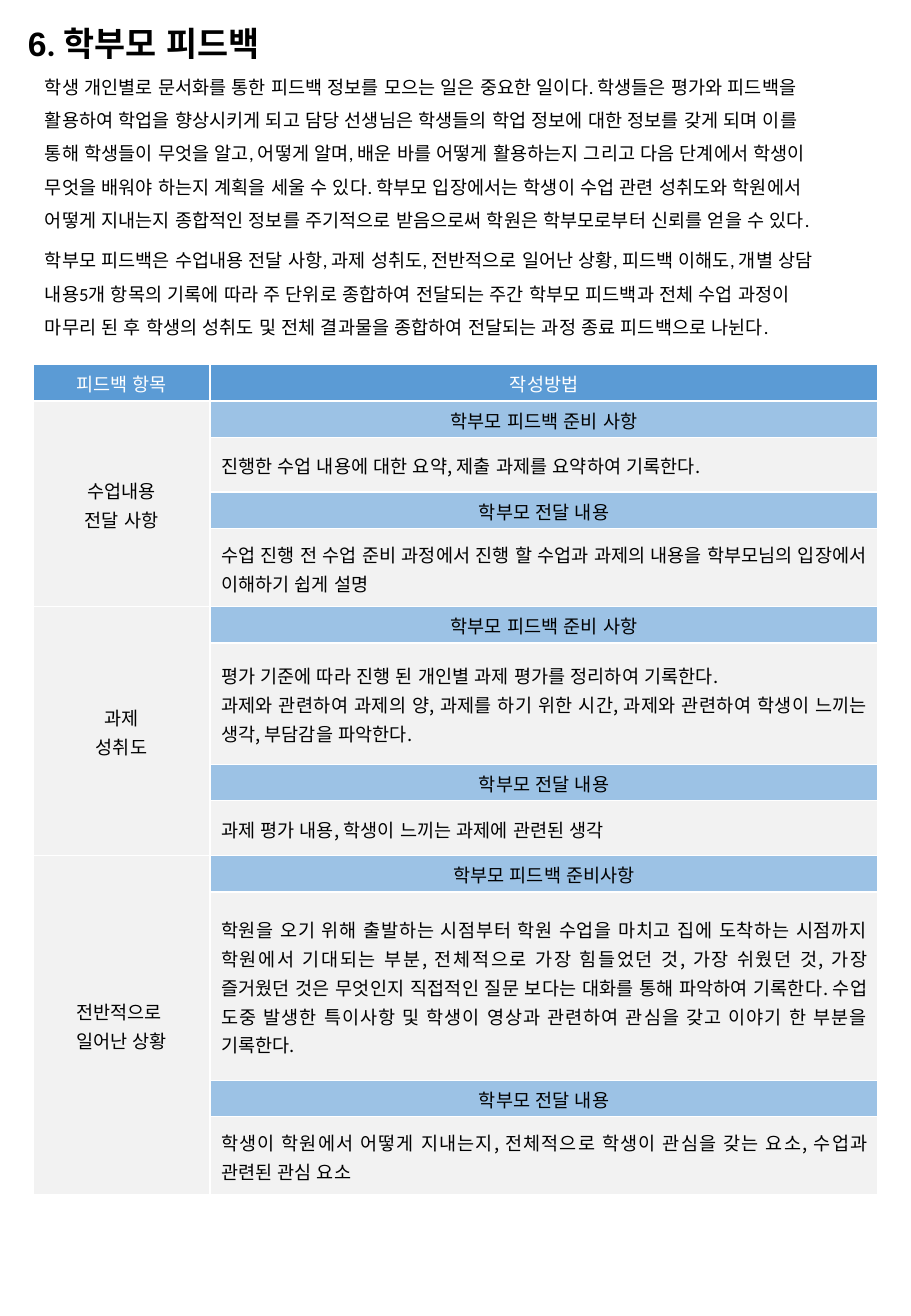
from dataclasses import dataclass

from lxml import etree
from pptx import Presentation
from pptx.dml.color import RGBColor
from pptx.enum.lang import MSO_LANGUAGE_ID
from pptx.enum.text import MSO_ANCHOR, MSO_AUTO_SIZE, PP_ALIGN
from pptx.oxml.ns import qn
from pptx.util import Inches, Pt

LEFT, CENTER, JUSTIFY = PP_ALIGN.LEFT, PP_ALIGN.CENTER, PP_ALIGN.JUSTIFY
TOP, MIDDLE = MSO_ANCHOR.TOP, MSO_ANCHOR.MIDDLE
NO_FIT = MSO_AUTO_SIZE.NONE
KOREAN = MSO_LANGUAGE_ID.KOREAN
TWO_CONTENT = 3


@dataclass(frozen=True)
class Theme:
    ink: str = "000000"
    white: str = "FFFFFF"
    header: str = "5B9BD5"
    band: str = "9CC2E5"
    cell: str = "F2F2F2"
    number_font: str = "Arial"
    body_font: str = "Calibri"
    korean_font: str = "Noto Sans CJK KR"
    title_size: int = 20
    body_size: int = 11
    body_spacing: float = 1.5
    table_spacing: float = 1.07
    border_width: int = 1


class Page:
    def __init__(self, slide, theme):
        self.slide = slide
        self.theme = theme

    def run(self, p, text, font, size, color, bold=False):
        r = p.add_run()
        r.text = text
        r.font.name = font
        r.font.size = Pt(size)
        r.font.bold = bold
        r.font.color.rgb = RGBColor.from_string(color)
        r.font.language_id = KOREAN
        ea = etree.SubElement(r.font._element, qn("a:ea"))
        ea.set("typeface", self.theme.korean_font)

    def lines(self, tf, lines, font, color, align, spacing):
        for i, line in enumerate(lines):
            p = tf.add_paragraph() if i else tf.paragraphs[0]
            p.alignment = align
            p.line_spacing = spacing
            p.space_before = p.space_after = Pt(0)
            self.run(p, line, font, self.theme.body_size, color)

    def place(self, sp, left, top, width, height, anchor):
        sp.left, sp.top = Inches(left), Inches(top)
        sp.width, sp.height = Inches(width), Inches(height)
        tf = sp.text_frame
        tf.word_wrap = True
        tf.auto_size = NO_FIT
        tf.vertical_anchor = anchor
        return tf

    def title(self, number, text, *box):
        t = self.theme
        p = self.place(self.slide.shapes.title, *box, MIDDLE).paragraphs[0]
        p.alignment = LEFT
        self.run(p, number, t.number_font, t.title_size, t.ink, True)
        self.run(p, text, t.body_font, t.title_size, t.ink, True)

    def body(self, idx, lines, *box):
        t = self.theme
        tf = self.place(self.slide.placeholders[idx], *box, TOP)
        self.lines(tf, lines, t.body_font, t.ink, JUSTIFY, t.body_spacing)
        for p in tf.paragraphs:
            pPr = p._p.get_or_add_pPr()
            pPr.set("marL", "0")
            pPr.set("indent", "0")
            etree.SubElement(pPr, qn("a:buNone"))

    def cell(self, cell, lines, fill, color, align):
        t = self.theme
        cell.vertical_anchor = MIDDLE
        cell.margin_left = cell.margin_right = Inches(0.09)
        cell.margin_top = cell.margin_bottom = Inches(0.03)
        tcPr = cell._tc.get_or_add_tcPr()
        for side in ("lnL", "lnR", "lnT", "lnB"):
            ln = etree.SubElement(tcPr, qn(f"a:{side}"), w=str(Pt(t.border_width)))
            solid = etree.SubElement(ln, qn("a:solidFill"))
            etree.SubElement(solid, qn("a:srgbClr"), val=t.white)
        cell.fill.solid()
        cell.fill.fore_color.rgb = RGBColor.from_string(fill)
        self.lines(cell.text_frame, lines, t.korean_font, color, align, t.table_spacing)

    def table(self, headers, groups, left, top, widths, heights):
        t = self.theme
        table = self.slide.shapes.add_table(
            len(heights), len(widths), Inches(left), Inches(top),
            Inches(sum(widths)), Inches(sum(heights))).table
        for column, width in zip(table.columns, widths):
            column.width = Inches(width)
        for row, height in zip(table.rows, heights):
            row.height = Inches(height)
        for col, text in enumerate(headers):
            self.cell(table.cell(0, col), [text], t.header, t.white, CENTER)
        row = 1
        for item, sections in groups:
            first = row
            for heading, content in sections:
                self.cell(table.cell(row, 1), [heading], t.band, t.ink, CENTER)
                self.cell(table.cell(row + 1, 1), content, t.cell, t.ink, JUSTIFY)
                row += 2
            table.cell(first, 0).merge(table.cell(row - 1, 0))
            self.cell(table.cell(first, 0), item, t.cell, t.ink, CENTER)


PURPOSE = [
    "학생 개인별로 문서화를 통한 피드백 정보를 모으는 일은 중요한 일이다. 학생들은 평가와 피드백을",
    "활용하여 학업을 향상시키게 되고 담당 선생님은 학생들의 학업 정보에 대한 정보를 갖게 되며 이를",
    "통해 학생들이 무엇을 알고, 어떻게 알며, 배운 바를 어떻게 활용하는지 그리고 다음 단계에서 학생이",
    "무엇을 배워야 하는지 계획을 세울 수 있다. 학부모 입장에서는 학생이 수업 관련 성취도와 학원에서",
    "어떻게 지내는지 종합적인 정보를 주기적으로 받음으로써 학원은 학부모로부터 신뢰를 얻을 수 있다.",
]
KINDS = [
    "학부모 피드백은 수업내용 전달 사항, 과제 성취도, 전반적으로 일어난 상황, 피드백 이해도, 개별 상담",
    "내용5개 항목의 기록에 따라 주 단위로 종합하여 전달되는 주간 학부모 피드백과 전체 수업 과정이",
    "마무리 된 후 학생의 성취도 및 전체 결과물을 종합하여 전달되는 과정 종료 피드백으로 나뉜다.",
]
PREPARE = "학부모 피드백 준비 사항"
DELIVER = "학부모 전달 내용"
GROUPS = [
    (["수업내용", "전달 사항"], [
        (PREPARE, ["진행한 수업 내용에 대한 요약, 제출 과제를 요약하여 기록한다."]),
        (DELIVER, ["수업 진행 전 수업 준비 과정에서 진행 할 수업과 과제의 내용을 "
                   "학부모님의 입장에서 이해하기 쉽게 설명"]),
    ]),
    (["과제", "성취도"], [
        (PREPARE, ["평가 기준에 따라 진행 된 개인별 과제 평가를 정리하여 기록한다.",
                   "과제와 관련하여 과제의 양, 과제를 하기 위한 시간, 과제와 관련하여 "
                   "학생이 느끼는 생각, 부담감을 파악한다."]),
        (DELIVER, ["과제 평가 내용, 학생이 느끼는 과제에 관련된 생각"]),
    ]),
    (["전반적으로 ", "일어난 상황"], [
        ("학부모 피드백 준비사항", [
            "학원을 오기 위해 출발하는 시점부터 학원 수업을 마치고 집에 도착하는 시점까지 "
            "학원에서 기대되는 부분, 전체적으로 가장 힘들었던 것, 가장 쉬웠던 것, 가장 "
            "즐거웠던 것은 무엇인지 직접적인 질문 보다는 대화를 통해 파악하여 기록한다. "
            "수업 도중 발생한 특이사항 및 학생이 영상과 관련하여 관심을 갖고 이야기 한 "
            "부분을 기록한다."]),
        (DELIVER, ["학생이 학원에서 어떻게 지내는지, 전체적으로 학생이 관심을 갖는 요소, "
                   "수업과 관련된 관심 요소"]),
    ]),
]
BAND = 0.3
CONTENT_HEIGHTS = [0.45, 0.64, 1, 0.45, 1.55, 0.64]
HEIGHTS = [BAND] + [h for content in CONTENT_HEIGHTS for h in (BAND, content)]

prs = Presentation()
prs.slide_width, prs.slide_height = Inches(7.5), Inches(10.83)
page = Page(prs.slides.add_slide(prs.slide_layouts[TWO_CONTENT]), Theme())
page.title("6", ". 학부모 피드백", 0.13, 0.13, 2.5, 0.44)
page.body(1, PURPOSE, 0.27, 0.48, 6.95, 1.49)
page.body(2, KINDS, 0.27, 1.91, 6.98, 0.9)
page.table(["피드백 항목", "작성방법"], GROUPS, 0.27, 3, [1.46, 5.5], HEIGHTS)
prs.save("out.pptx")
